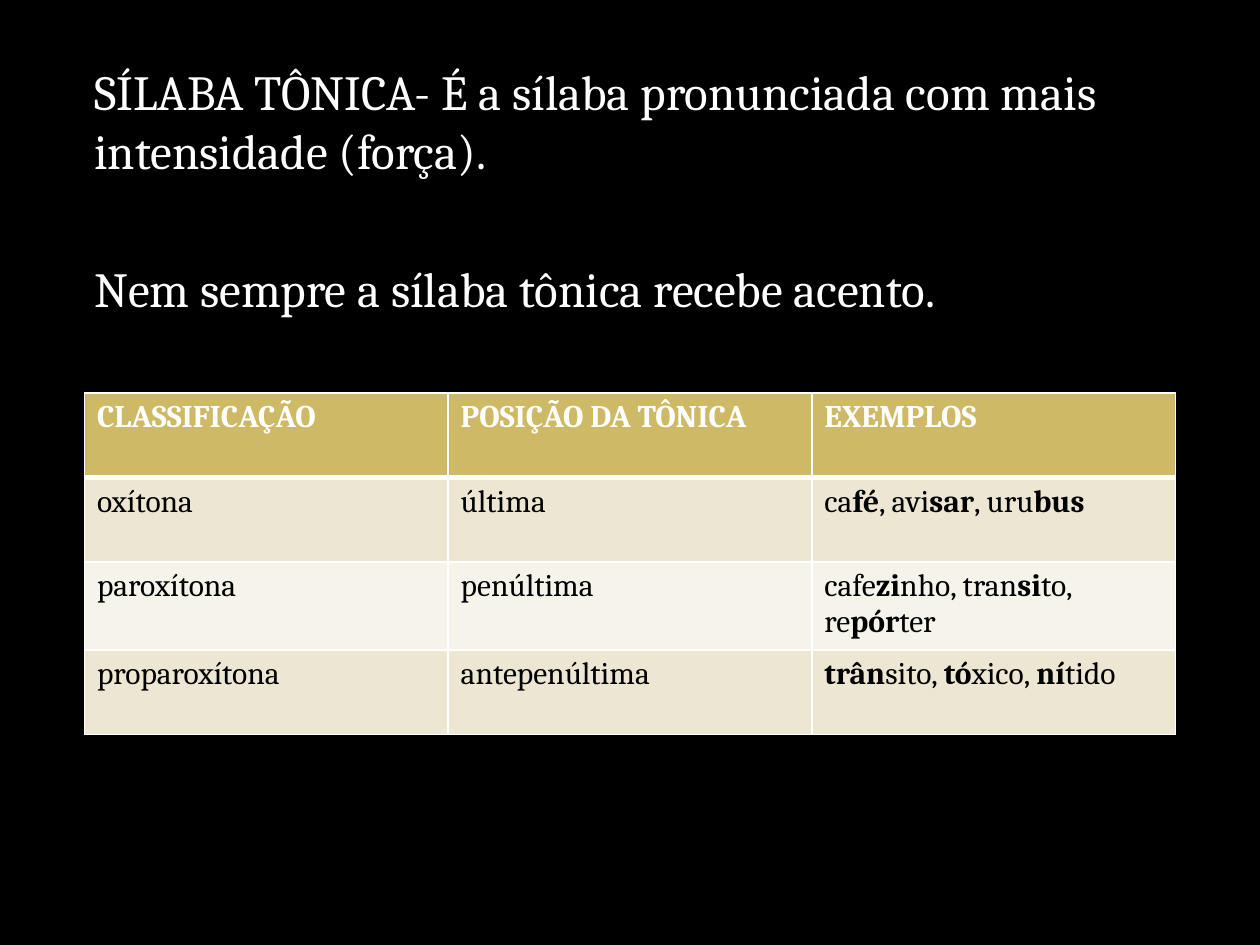
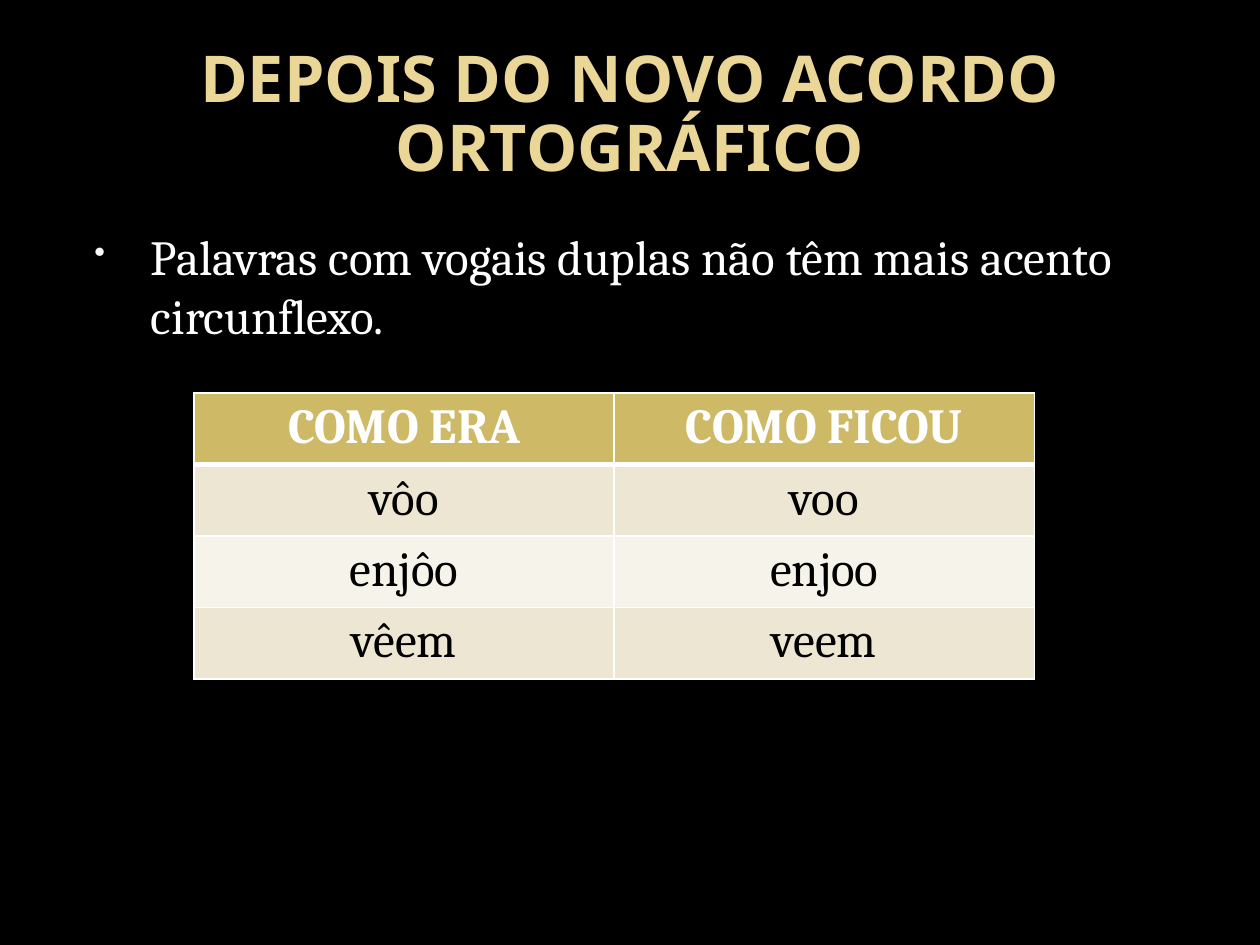
from pptx import Presentation, util as u
from pptx.dml.color import RGBColor
from pptx.enum import text
from pptx.oxml import ns
from lxml import etree

Inches = u.Inches
BODY_FONT, TITLE_FONT = "Cambria", "Noto Sans"
BLACK, WHITE, SAND = "000000", "FFFFFF", "EAD696"
HEADER, BANDS = "CEB966", ("EDE6D3", "F6F3EA")
LEFT, WIDTH = 0.5, 9
TABLE_TOP = 3.12
BODY_SIZE = 28


def color(value):
    return RGBColor.from_string(value)


def add_span(para, words, size, fill, bold=False, font=BODY_FONT):
    span = para.add_run()
    span.text = words
    span.font.name = font
    span.font.size = u.Pt(size)
    span.font.bold = bold
    span.font.color.rgb = color(fill)


def add_slide(deck):
    slide = deck.slides.add_slide(deck.slide_layouts[6])
    slide.background.fill.solid()
    slide.background.fill.fore_color.rgb = color(BLACK)
    return slide


def add_box(slide, top, height):
    box = slide.shapes.add_textbox(Inches(LEFT), Inches(top), Inches(WIDTH), Inches(height))
    box.text_frame.word_wrap = True
    return box.text_frame


def add_title(slide, words):
    frame = add_box(slide, 0.3, 1.25)
    frame.vertical_anchor = text.MSO_ANCHOR.MIDDLE
    para = frame.paragraphs[0]
    para.alignment = text.PP_ALIGN.CENTER
    para.line_spacing = 0.89
    add_span(para, words, 36.9, SAND, True, TITLE_FONT)


def set_indent(para, margin, indent=0):
    props = para._p.get_or_add_pPr()
    props.set("marL", str(Inches(margin)))
    props.set("indent", str(Inches(indent)))
    return props


def add_bullet(para):
    props = set_indent(para, 0.6, -0.45)
    tint = etree.SubElement(props, ns.qn("a:buClr"))
    etree.SubElement(tint, ns.qn("a:srgbClr"), val="F9F9F9")
    etree.SubElement(props, ns.qn("a:buSzPct"), val="65000")
    etree.SubElement(props, ns.qn("a:buChar"), char="•")


def add_body(slide, top, height, lines, bullet=False, gap=0):
    frame = add_box(slide, top, height)
    for index, line in enumerate(lines):
        para = frame.add_paragraph() if index else frame.paragraphs[0]
        if bullet:
            add_bullet(para)
        else:
            set_indent(para, 0.15)
        if index:
            para.space_before = u.Pt(gap)
        add_span(para, line, BODY_SIZE, WHITE)


def set_border(cell, side, points):
    line = etree.SubElement(cell._tc.get_or_add_tcPr(), ns.qn(f"a:{side}"), w=str(u.Pt(points)))
    fill = etree.SubElement(line, ns.qn("a:solidFill"))
    etree.SubElement(fill, ns.qn("a:srgbClr"), val=WHITE)


def style_cell(cell, row):
    for side in ("lnL", "lnR", "lnT", "lnB"):
        under_header = (row, side) in ((0, "lnB"), (1, "lnT"))
        set_border(cell, side, 3 if under_header else 1)
    cell.fill.solid()
    cell.fill.fore_color.rgb = color(BANDS[(row - 1) % 2] if row else HEADER)


def fill_cell(cell, words, row, size, align):
    para = cell.text_frame.paragraphs[0]
    para.alignment = align
    for index, part in enumerate(words.split("*")):
        if part:
            add_span(para, part, size, BLACK if row else WHITE, row == 0 or index % 2 == 1)


def add_table(slide, left, width, row_height, rows, size, align):
    frame = slide.shapes.add_table(len(rows), len(rows[0]), Inches(left), Inches(TABLE_TOP),
                                   Inches(width), Inches(row_height * len(rows)))
    for row, entries in enumerate(rows):
        for column, words in enumerate(entries):
            cell = frame.table.cell(row, column)
            style_cell(cell, row)
            fill_cell(cell, words, row, size, align)


def build_stress_slide(deck):
    slide = add_slide(deck)
    add_body(slide, 0.44, 6.46, [
        "SÍLABA TÔNICA- É a sílaba pronunciada com mais intensidade (força).",
        "Nem sempre a sílaba tônica recebe acento.",
    ], gap=45)
    add_table(slide, 0.67, 8.66, 0.67, [
        ("CLASSIFICAÇÃO", "POSIÇÃO DA TÔNICA", "EXEMPLOS"),
        ("oxítona", "última", "ca*fé*, avi*sar*, uru*bus*"),
        ("paroxítona", "penúltima", "cafe*zi*nho, tran*si*to, re*pór*ter"),
        ("proparoxítona", "antepenúltima", "*trân*sito, *tó*xico, *ní*tido"),
    ], 18, text.PP_ALIGN.LEFT)


def build_agreement_slide(deck):
    slide = add_slide(deck)
    add_title(slide, "DEPOIS DO NOVO ACORDO ORTOGRÁFICO")
    add_body(slide, 1.75, 5.15, ["Palavras com vogais duplas não têm mais acento circunflexo."],
             bullet=True)
    add_table(slide, 1.54, 6.67, 0.55, [
        ("COMO ERA", "COMO FICOU"),
        ("vôo", "voo"),
        ("enjôo", "enjoo"),
        ("vêem", "veem"),
    ], BODY_SIZE, text.PP_ALIGN.CENTER)


def main():
    deck = Presentation()
    deck.slide_width, deck.slide_height = Inches(10), Inches(7.5)
    build_stress_slide(deck)
    build_agreement_slide(deck)
    deck.save("out.pptx")


if __name__ == "__main__":
    main()
